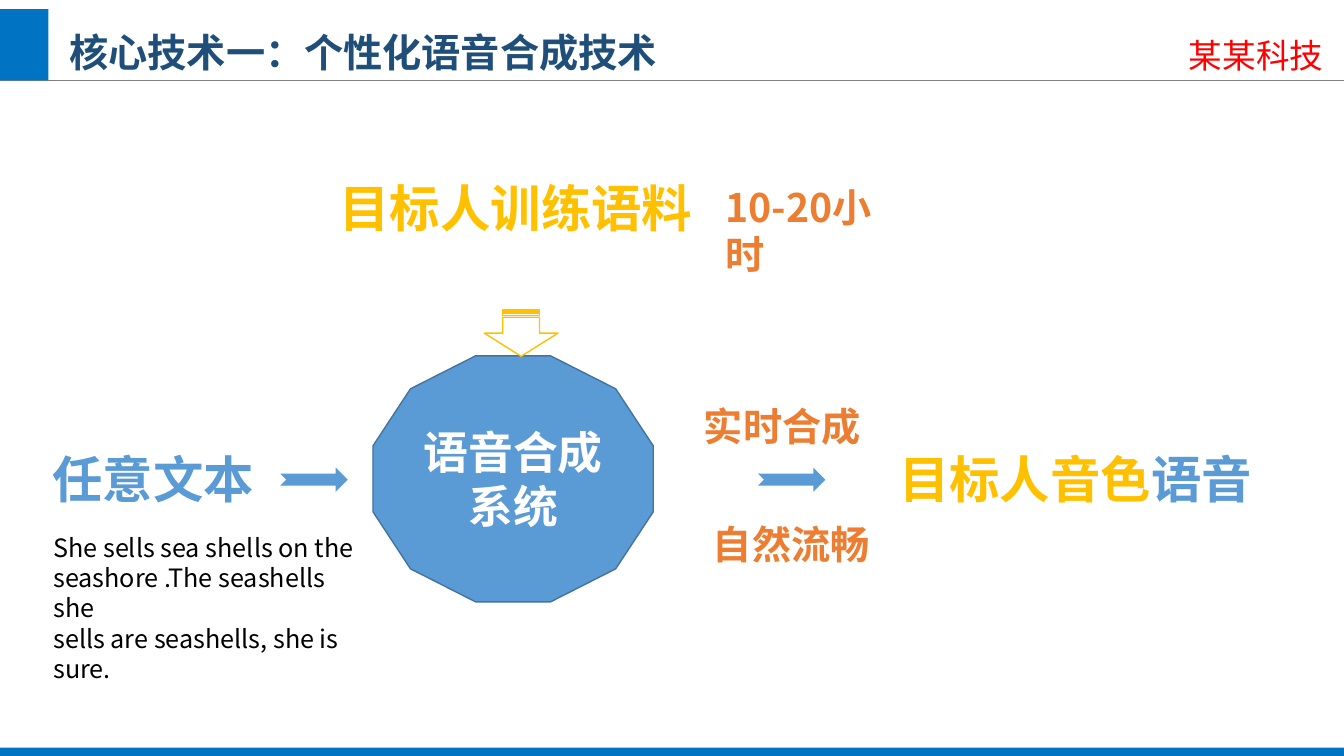
from lxml import etree
from pptx import Presentation
from pptx.dml.color import RGBColor
from pptx.enum.shapes import MSO_CONNECTOR, MSO_SHAPE as Preset
from pptx.enum.text import MSO_ANCHOR, MSO_AUTO_SIZE, PP_ALIGN as Align
from pptx.oxml.ns import qn
from pptx.util import Pt

WIDTH, HEIGHT = 960, 540
FONT = "Noto Sans CJK SC"
WHITE = RGBColor(0xFF, 0xFF, 0xFF)
BLACK = RGBColor(0x00, 0x00, 0x00)
GRAY = RGBColor(0x80, 0x80, 0x80)
RED = RGBColor(0xFF, 0x00, 0x00)
NAVY = RGBColor(0x1F, 0x4E, 0x79)
BAND_BLUE = RGBColor(0x00, 0x73, 0xC3)
BLUE = RGBColor(0x5B, 0x9B, 0xD5)
EDGE_BLUE = RGBColor(0x43, 0x73, 0x9E)
GOLD = RGBColor(0xFF, 0xC0, 0x00)
ORANGE = RGBColor(0xED, 0x7D, 0x31)


def write_text(frame, *lines, size, color=BLACK, bold=True, align=Align.CENTER,
               anchor=MSO_ANCHOR.TOP, wrap=False):
    """Fill a frame; a line is a string or a list of (text, color) runs."""
    frame.auto_size = MSO_AUTO_SIZE.NONE
    frame.word_wrap = wrap
    frame.vertical_anchor = anchor
    for index, line in enumerate(lines):
        paragraph = frame.add_paragraph() if index else frame.paragraphs[0]
        paragraph.alignment = align
        paragraph.line_spacing = 1.0
        paragraph.space_before = Pt(0)
        for text, run_color in [(line, color)] if isinstance(line, str) else line:
            run = paragraph.add_run()
            run.text = text
            font = run.font
            font.name, font.size, font.bold = FONT, Pt(size), bold
            font.color.rgb = run_color
            east_asian = etree.SubElement(font._element, qn("a:ea"))
            east_asian.set("typeface", FONT)


class SlideBuilder:
    def __init__(self, slide):
        self.slide = slide

    def title(self, text, left, top, width, height, **style):
        title = self.slide.shapes.title
        title.left, title.top = Pt(left), Pt(top)
        title.width, title.height = Pt(width), Pt(height)
        write_text(title.text_frame, text, **style)

    def label(self, left, top, width, height, *lines, **style):
        box = self.slide.shapes.add_textbox(Pt(left), Pt(top), Pt(width), Pt(height))
        write_text(box.text_frame, *lines, **style)

    def shape(self, preset, left, top, width, height, fill, line=None):
        shape = self.slide.shapes.add_shape(
            preset, Pt(left), Pt(top), Pt(width), Pt(height))
        shape.shadow.inherit = False
        shape.fill.solid()
        shape.fill.fore_color.rgb = fill
        if line is None:
            shape.line.fill.background()
        else:
            shape.line.color.rgb = line
            shape.line.width = Pt(1)
        return shape

    def rule(self, y, color):
        connector = self.slide.shapes.add_connector(
            MSO_CONNECTOR.STRAIGHT, Pt(0), Pt(y), Pt(WIDTH), Pt(y))
        connector.line.color.rgb = color
        connector.line.width = Pt(1)
        etree.SubElement(connector._element.spPr, qn("a:effectLst"))


def main():
    presentation = Presentation()
    presentation.slide_width, presentation.slide_height = Pt(WIDTH), Pt(HEIGHT)
    builder = SlideBuilder(presentation.slides.add_slide(presentation.slide_layouts[5]))

    # Header and footer
    builder.rule(57.5, GRAY)
    builder.label(841.5, 21.5, 111.5, 36, "某某科技", size=24, color=RED, bold=False)
    builder.shape(Preset.RECTANGLE, 0, 6.5, 34.5, 51, BAND_BLUE)
    builder.shape(Preset.RECTANGLE, 0, 534, WIDTH, 6, BAND_BLUE)
    builder.title("核心技术一：个性化语音合成技术", 42.5, 16.5, 438.5, 41,
                  size=28, color=NAVY, align=Align.LEFT)

    # Synthesis system
    system = builder.shape(Preset.DODECAGON, 266.4, 254.2, 200.2, 175.7, BLUE, EDGE_BLUE)
    write_text(system.text_frame, "语音合成系统", size=32, color=WHITE,
               anchor=MSO_ANCHOR.MIDDLE, wrap=True)

    # Arrows into and out of the system
    for left in (200.2, 541.4):
        builder.shape(Preset.NOTCHED_RIGHT_ARROW, left, 334, 48.2, 17.3, BLUE)
    corpus_arrow = builder.shape(Preset.STRIPED_RIGHT_ARROW, 355.7, 211.7, 33.1, 52.6,
                                 WHITE, GOLD)
    corpus_arrow.rotation = 90

    # Input, training corpus and output
    builder.label(18.7, 316.8, 181.4, 51, "任意文本", size=36, color=BLUE)
    builder.label(235.4, 123.1, 266.4, 51, "目标人训练语料", size=36, color=GOLD)
    builder.label(635, 316.8, 266.4, 51,
                  [("目标人音色", GOLD), ("语音", BLUE)], size=36)

    # Remarks
    builder.label(495.4, 283.7, 126.7, 41, "实时合成", size=28, color=ORANGE)
    builder.label(501.8, 367.9, 126.7, 41, "自然流畅", size=28, color=ORANGE)
    builder.label(511.2, 127.4, 126.7, 41, "10-20小时", size=28, color=ORANGE,
                  align=Align.LEFT, wrap=True)
    builder.label(31, 376.6, 241.2, 72.7, "She sells sea shells on the",
                  "seashore .The seashells she", "sells are seashells, she is sure.",
                  size=18, bold=False, align=Align.LEFT, wrap=True)

    presentation.save("out.pptx")


if __name__ == "__main__":
    main()
